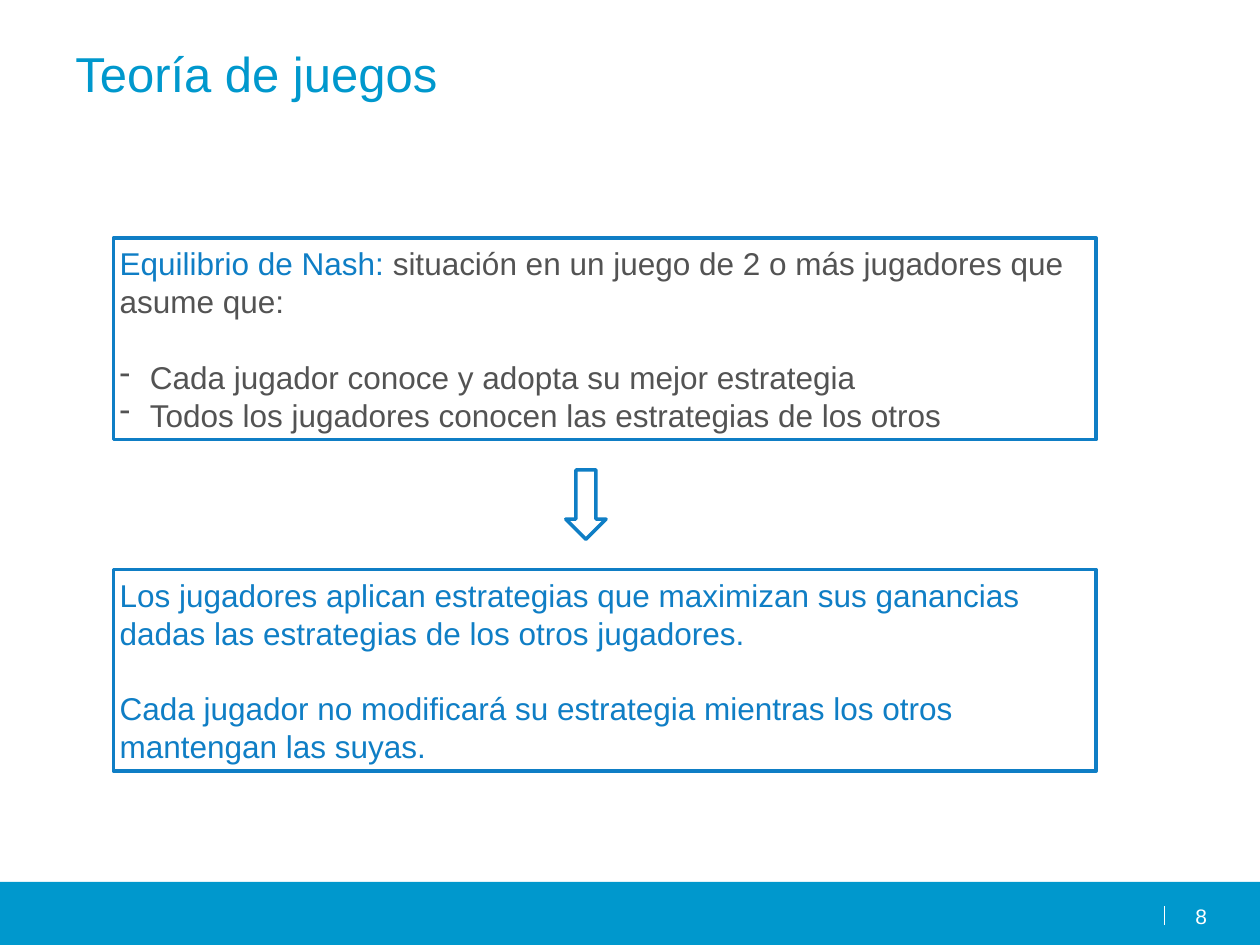
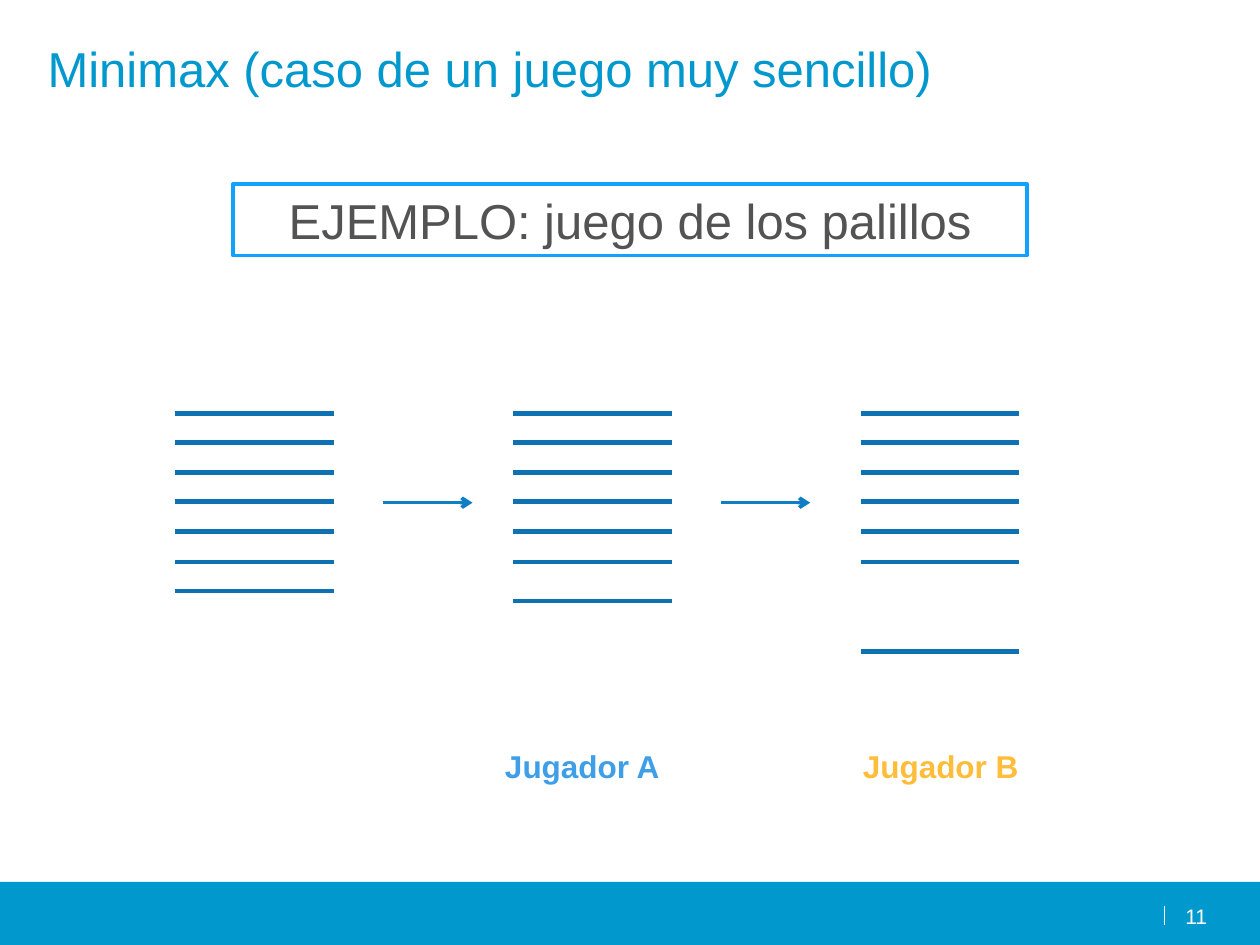
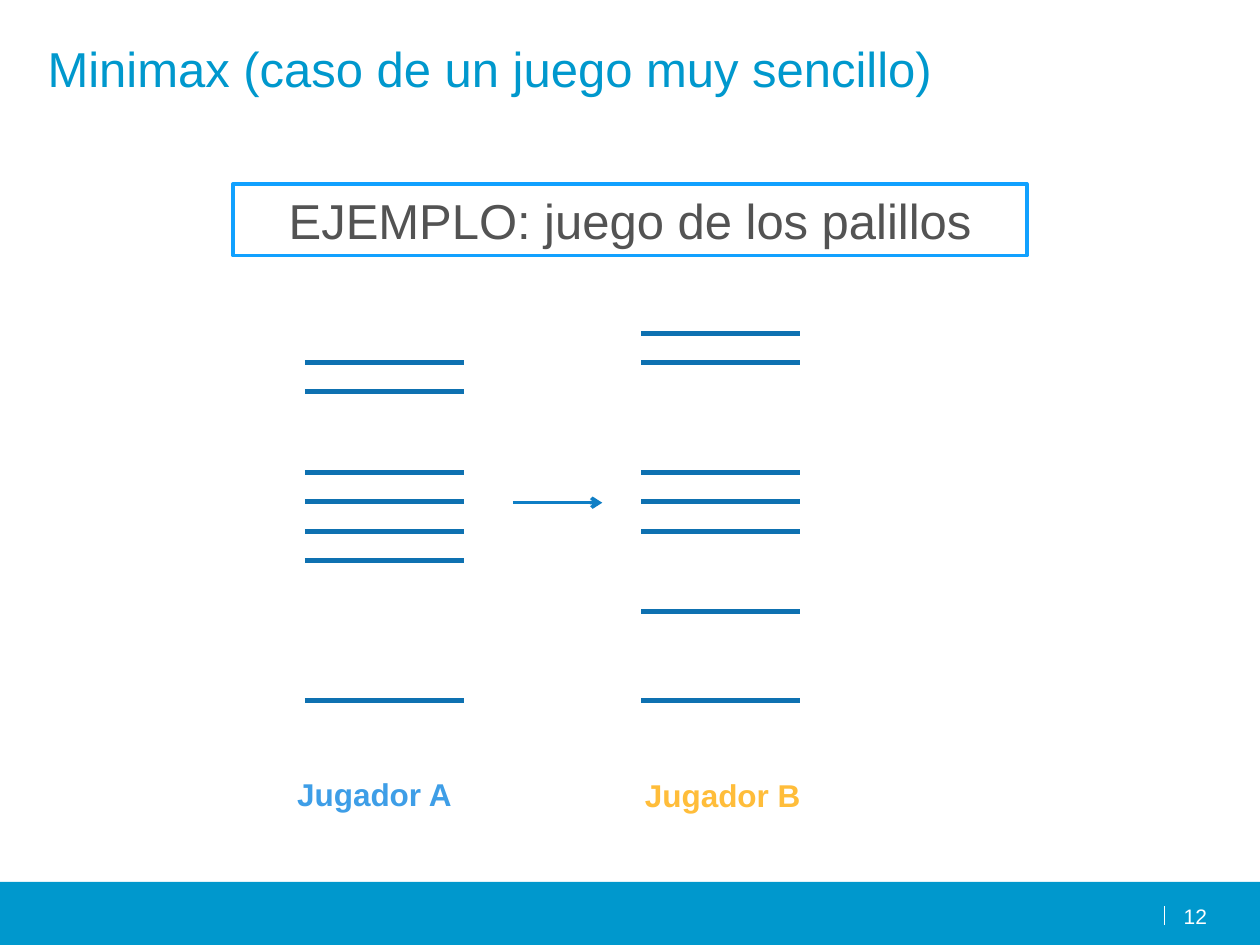
import dataclasses

import lxml.etree
import pptx
import pptx.dml.color
import pptx.enum.shapes
import pptx.enum.text
import pptx.oxml.ns
import pptx.util

RGBColor = pptx.dml.color.RGBColor
Shape = pptx.enum.shapes.MSO_SHAPE
Align = pptx.enum.text.PP_ALIGN
Anchor = pptx.enum.text.MSO_ANCHOR

EMU_PER_PX = 9144
FONT = "Arial"
LINE_HEIGHT = 1.2
BODY_SIZE = 18
HEADING_SIZE = 28
NUMBER_SIZE = 12

WHITE = RGBColor(0xFF, 0xFF, 0xFF)
BAND_BLUE = RGBColor(0x00, 0x98, 0xCD)
FRAME_BLUE = RGBColor(0x0F, 0x7E, 0xC5)
EXAMPLE_BLUE = RGBColor(0x11, 0xA1, 0xFF)
STICK_BLUE = RGBColor(0x0E, 0x71, 0xB1)
PLAYER_A_BLUE = RGBColor(0x3E, 0x9E, 0xE7)
PLAYER_B_YELLOW = RGBColor(0xFF, 0xBD, 0x3A)
GREY = RGBColor(0x53, 0x53, 0x53)

STICK_WIDTH = 126
ARROW_WIDTH = 71
ARROW_TOP = 399
BULLET_INDENT = 24


@dataclasses.dataclass(frozen=True)
class Area:
    left: int
    top: int
    width: int
    height: int


@dataclasses.dataclass(frozen=True)
class Span:
    text: str
    color: RGBColor
    size: int = BODY_SIZE
    bold: bool = False


@dataclasses.dataclass(frozen=True)
class Para:
    spans: tuple[Span, ...]
    align: Align = Align.LEFT
    bullet: bool = False
    gap_before: bool = False


@dataclasses.dataclass(frozen=True)
class Group:
    top: int
    count: int = 1


@dataclasses.dataclass(frozen=True)
class Pile:
    left: int
    groups: tuple[Group, ...]


@dataclasses.dataclass(frozen=True)
class Label:
    left: int
    top: int
    span: Span


@dataclasses.dataclass(frozen=True)
class Game:
    number: int
    piles: tuple[Pile, ...]
    arrows: tuple[int, ...]
    labels: tuple[Label, ...]


PLAYER_A = Span("Jugador A", PLAYER_A_BLUE, bold=True)
PLAYER_B = Span("Jugador B", PLAYER_B_YELLOW, bold=True)

GAMES = (
    Game(
        11,
        (
            Pile(139, (Group(328, 7),)),
            Pile(407, (Group(328, 6), Group(477))),
            Pile(683, (Group(328, 6), Group(517))),
        ),
        (304, 572),
        (Label(391, 588, PLAYER_A), Label(675, 588, PLAYER_B)),
    ),
    Game(
        12,
        (
            Pile(242, (Group(288, 2), Group(375, 4), Group(556))),
            Pile(509, (Group(265, 2), Group(375, 3), Group(485), Group(556))),
        ),
        (407,),
        (Label(226, 610, PLAYER_A), Label(502, 611, PLAYER_B)),
    ),
)

NASH = (
    Para((
        Span("Equilibrio de Nash: ", FRAME_BLUE),
        Span("situación en un juego de 2 o más jugadores que asume que:", GREY),
    )),
    Para((Span("Cada jugador conoce y adopta su mejor estrategia", GREY),),
         bullet=True, gap_before=True),
    Para((Span("Todos los jugadores conocen las estrategias de los otros", GREY),),
         bullet=True),
)
CONSEQUENCE = (
    Para((Span("Los jugadores aplican estrategias que maximizan sus ganancias "
               "dadas las estrategias de los otros jugadores.", FRAME_BLUE),)),
    Para((Span("Cada jugador no modificará su estrategia mientras los otros "
               "mantengan las suyas.", FRAME_BLUE),), gap_before=True),
)
EXAMPLE = (
    Para((Span("EJEMPLO: juego de los palillos", GREY, HEADING_SIZE),), Align.CENTER),
)


def px(length: int) -> pptx.util.Emu:
    return pptx.util.Emu(length * EMU_PER_PX)


def bounds(area: Area) -> tuple[pptx.util.Emu, ...]:
    return tuple(px(length) for length in dataclasses.astuple(area))


def add_bullet(paragraph) -> None:
    properties = paragraph._p.get_or_add_pPr()
    properties.set("marL", str(px(BULLET_INDENT)))
    properties.set("indent", str(-px(BULLET_INDENT)))
    character = lxml.etree.SubElement(properties, pptx.oxml.ns.qn("a:buChar"))
    character.set("char", "-")


def write(box, paras: tuple[Para, ...], inset_x: int, inset_y: int,
          anchor: Anchor = Anchor.TOP) -> None:
    frame = box.text_frame
    frame.word_wrap = True
    frame.vertical_anchor = anchor
    frame.margin_left = frame.margin_right = px(inset_x)
    frame.margin_top = frame.margin_bottom = px(inset_y)
    for index, para in enumerate(paras):
        paragraph = frame.add_paragraph() if index else frame.paragraphs[0]
        if para.bullet:
            add_bullet(paragraph)
        line_height = pptx.util.Pt(para.spans[0].size * LINE_HEIGHT)
        paragraph.alignment = para.align
        paragraph.line_spacing = line_height
        if para.gap_before:
            paragraph.space_before = line_height
        for span in para.spans:
            run = paragraph.add_run()
            run.text = span.text
            run.font.name = FONT
            run.font.size = pptx.util.Pt(span.size)
            run.font.bold = span.bold
            run.font.color.rgb = span.color


def add_text(page, area: Area, para: Para, inset_x: int = 10, inset_y: int = 5) -> None:
    write(page.shapes.add_textbox(*bounds(area)), (para,), inset_x, inset_y)


def add_outlined(page, kind: Shape, area: Area, color: RGBColor):
    shape = page.shapes.add_shape(kind, *bounds(area))
    shape.shadow.inherit = False
    shape.fill.solid()
    shape.fill.fore_color.rgb = WHITE
    shape.line.color.rgb = color
    shape.line.width = pptx.util.Pt(2)
    return shape


def add_framed_text(page, area: Area, color: RGBColor, paras: tuple[Para, ...]) -> None:
    box = add_outlined(page, Shape.RECTANGLE, area, color)
    write(box, paras, 5, 5, Anchor.MIDDLE)


def add_line(page, start: tuple[int, int], end: tuple[int, int], color: RGBColor,
             width: float, arrow: bool = False) -> None:
    line = page.shapes.add_connector(
        pptx.enum.shapes.MSO_CONNECTOR.STRAIGHT, *map(px, start + end))
    line.line.color.rgb = color
    line.line.width = pptx.util.Pt(width)
    if arrow:
        tail = lxml.etree.SubElement(
            line.line._get_or_add_ln(), pptx.oxml.ns.qn("a:tailEnd"))
        tail.set("type", "arrow")
    lxml.etree.SubElement(line._element.spPr, pptx.oxml.ns.qn("a:effectLst"))


def add_page(deck, number: int, title: str, left: int, top: int):
    page = deck.slides.add_slide(deck.slide_layouts[6])
    band = page.shapes.add_shape(Shape.RECTANGLE, *bounds(Area(0, 700, 1000, 50)))
    band.shadow.inherit = False
    band.fill.solid()
    band.fill.fore_color.rgb = BAND_BLUE
    band.line.fill.background()
    add_line(page, (924, 734), (924, 719), WHITE, 0.75)
    add_text(page, Area(928, 717, 30, 19),
             Para((Span(str(number), WHITE, NUMBER_SIZE),), Align.RIGHT), 0, 0)
    add_text(page, Area(left, top, 900, 125),
             Para((Span(title, BAND_BLUE, HEADING_SIZE),)))
    return page


def add_pile(page, pile: Pile) -> None:
    for group in pile.groups:
        for row in range(group.count):
            top = group.top + row * 236 // 10
            add_line(page, (pile.left, top), (pile.left + STICK_WIDTH, top),
                     STICK_BLUE, 2.75)


def add_theory(deck) -> None:
    page = add_page(deck, 8, "Teoría de juegos", 50, 30)
    add_framed_text(page, Area(90, 189, 780, 160), FRAME_BLUE, NASH)
    add_outlined(page, Shape.DOWN_ARROW, Area(449, 373, 32, 55), FRAME_BLUE)
    add_framed_text(page, Area(90, 452, 780, 160), FRAME_BLUE, CONSEQUENCE)


def add_game(deck, game: Game) -> None:
    page = add_page(deck, game.number, "Minimax (caso de un juego muy sencillo)", 28, 26)
    add_framed_text(page, Area(185, 146, 630, 57), EXAMPLE_BLUE, EXAMPLE)
    for pile in game.piles:
        add_pile(page, pile)
    for left in game.arrows:
        add_line(page, (left, ARROW_TOP), (left + ARROW_WIDTH, ARROW_TOP),
                 FRAME_BLUE, 2, arrow=True)
    for label in game.labels:
        add_text(page, Area(label.left, label.top, 157, 40), Para((label.span,)))


def main() -> None:
    deck = pptx.Presentation()
    deck.slide_width = px(1000)
    deck.slide_height = px(750)
    add_theory(deck)
    for game in GAMES:
        add_game(deck, game)
    deck.save("out.pptx")


if __name__ == "__main__":
    main()
